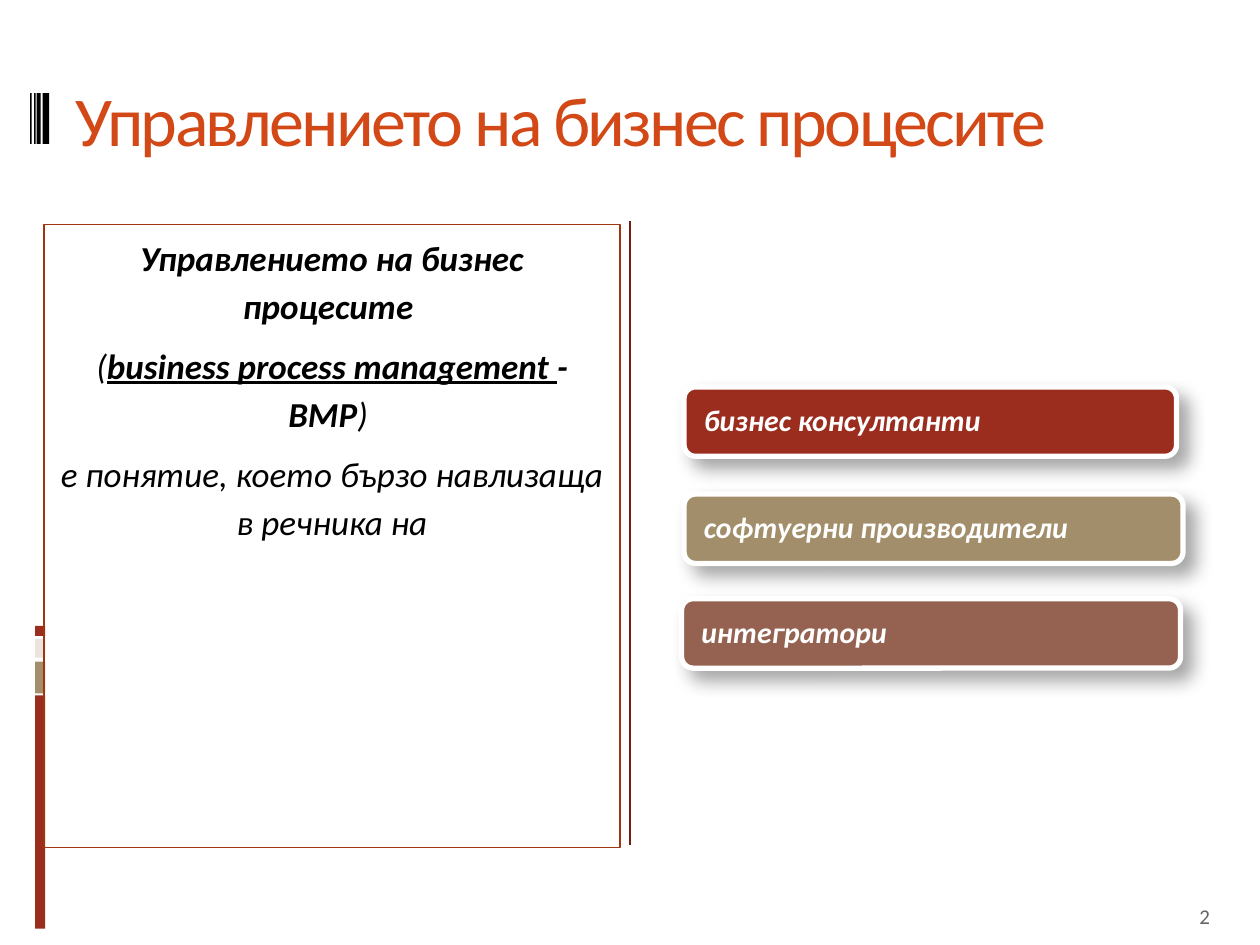
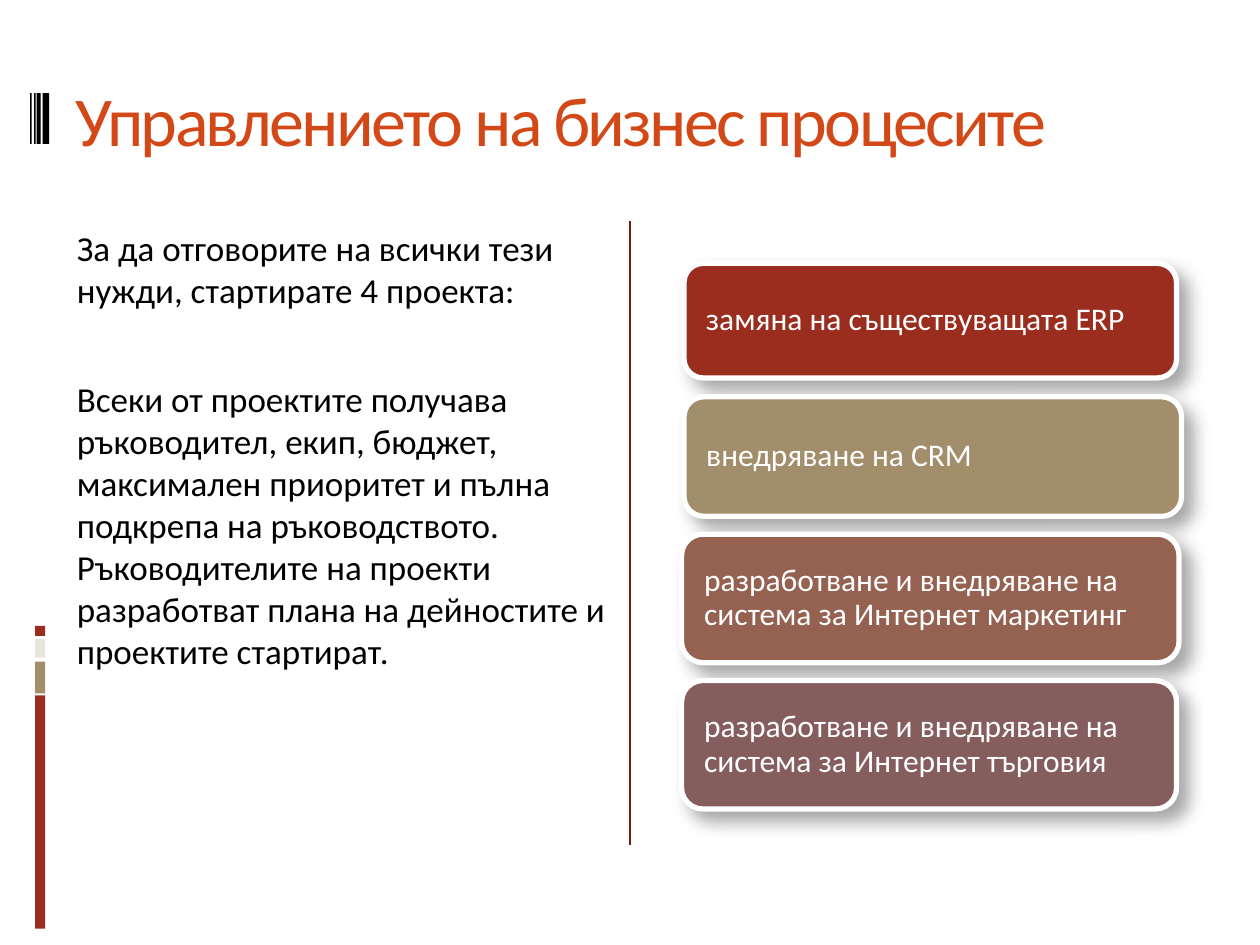
from dataclasses import dataclass

from lxml.etree import SubElement
from pptx import Presentation
from pptx.dml.color import RGBColor
from pptx.enum.shapes import MSO_CONNECTOR, MSO_SHAPE
from pptx.enum.text import MSO_ANCHOR, PP_ALIGN
from pptx.oxml.ns import qn
from pptx.shapes.autoshape import Shape
from pptx.slide import Slide
from pptx.util import Cm, Pt

HUES = {
    "red": "9B2D1F", "sand": "A28E6A", "cream": "E9E5DC", "brown": "956251",
    "mauve": "855D5D", "title": "D34817", "frame": "9E3611", "rule": "751D12",
    "page": "696464", "black": "000000", "white": "FFFFFF",
}
FONT = "Calibri"
HEAD = "Управлението на бизнес процесите"


@dataclass
class Box:
    """A place on the slide, in centimetres."""
    left: float
    top: float
    width: float
    height: float

    def emu(self) -> list[int]:
        return [Cm(x) for x in (self.left, self.top, self.width, self.height)]


@dataclass
class Span:
    text: str
    bold: bool = False
    under: bool = False


@dataclass
class Para:
    spans: list[Span]
    before: float = 0


@dataclass
class Card:
    text: str
    hue: str
    box: Box


@dataclass
class Style:
    size: float
    hue: str = "black"
    bold: bool = False
    slant: bool = False


BARS = [
    ("red", Box(0.71, 14.02, 0.2, 4.7)),
    ("sand", Box(0.71, 13.34, 0.2, 0.64)),
    ("cream", Box(0.71, 12.88, 0.2, 0.38)),
    ("red", Box(0.71, 12.62, 0.2, 0.2)),
] + [
    ("black", Box(left, 1.88, width, 1.02))
    for left, width in ((0.86, 0.13), (0.74, 0.08), (0.69, 0.03), (0.61, 0.03))
]

TERM = [
    Para([Span("Управлението на бизнес процесите ", bold=True)]),
    Para([Span("("), Span("business process management ", True, True),
          Span("- BMP", bold=True), Span(") ")], 7),
    Para([Span("е понятие, което бързо навлизаща в речника на")], 7),
]
PLAN = [
    Para([Span("За да отговорите на всички тези нужди, стартирате 4 проекта:")]),
    Para([Span("Всеки от проектите получава ръководител, екип, бюджет, "
               "максимален приоритет и пълна подкрепа на ръководството. "
               "Ръководителите на проекти разработват плана на дейностите "
               "и проектите стартират.")], 38),
]
ROLES = [
    Card("бизнес консултанти", "red", Box(13.79, 7.8, 9.93, 1.4)),
    Card("софтуерни производители", "sand", Box(13.79, 9.96, 10.06, 1.4)),
    Card("интегратори", "brown", Box(13.74, 12.07, 10.06, 1.4)),
]
TASKS = [
    Card("замяна на съществуващата ERP", "red", Box(13.79, 5.31, 9.93, 2.31)),
    Card("внедряване на CRM", "sand", Box(13.79, 8, 10.03, 2.41)),
    Card("разработване и внедряване на система за Интернет маркетинг",
         "brown", Box(13.74, 10.77, 10.03, 2.59)),
    Card("разработване и внедряване на система за Интернет търговия",
         "mauve", Box(13.74, 13.72, 9.98, 2.59)),
]


def rgb(hue: str) -> RGBColor:
    return RGBColor.from_string(HUES[hue])


def format_run(run, style: Style) -> None:
    font = run.font
    font.name, font.size = FONT, Pt(style.size)
    font.bold, font.italic = style.bold, style.slant
    font.color.rgb = rgb(style.hue)


def add_shape(slide: Slide, kind: MSO_SHAPE, box: Box, fill: str = "",
              line: str = "", width: float = 0.75) -> Shape:
    """Add a shape without shadow; an empty fill or line means none."""
    shape = slide.shapes.add_shape(kind, *box.emu())
    shape.shadow.inherit = False
    if fill:
        shape.fill.solid()
        shape.fill.fore_color.rgb = rgb(fill)
    else:
        shape.fill.background()
    if line:
        shape.line.color.rgb = rgb(line)
        shape.line.width = Pt(width)
    else:
        shape.line.fill.background()
    return shape


def add_label(slide: Slide, text: str, box: Box, style: Style,
              anchor: MSO_ANCHOR) -> Shape:
    label = slide.shapes.add_textbox(*box.emu())
    frame = label.text_frame
    frame.word_wrap = True
    frame.vertical_anchor = anchor
    frame.text = text
    format_run(frame.paragraphs[0].runs[0], style)
    return label


def add_base(deck) -> Slide:
    """Start a slide with the side bars, the middle rule and the title."""
    slide = deck.slides.add_slide(deck.slide_layouts[6])
    for hue, box in BARS:
        add_shape(slide, MSO_SHAPE.RECTANGLE, box, hue)
    rule = slide.shapes.add_connector(
        MSO_CONNECTOR.STRAIGHT, Cm(12.7), Cm(4.45), Cm(12.7), Cm(17.04))
    rule.line.color.rgb = rgb("rule")
    rule.line.width = Pt(0.75)
    SubElement(rule._element.spPr, qn("a:effectLst"))
    title = add_label(slide, HEAD, Box(1.27, 0.58, 22.86, 3.61),
                      Style(40, "title"), MSO_ANCHOR.MIDDLE)
    run = title.text_frame.paragraphs[0].runs[0]
    run._r.get_or_add_rPr().set("spc", "-150")
    return slide


def add_body(slide: Slide, paras: list[Para], box: Box, framed: bool) -> None:
    """Write the left column; a framed one is centred, italic and airy."""
    shape = add_shape(slide, MSO_SHAPE.RECTANGLE, box,
                      line="frame" if framed else "")
    frame = shape.text_frame
    frame.word_wrap = True
    frame.vertical_anchor = MSO_ANCHOR.TOP
    for num, para in enumerate(paras):
        item = frame.add_paragraph() if num else frame.paragraphs[0]
        item.alignment = PP_ALIGN.CENTER if framed else PP_ALIGN.LEFT
        if framed:
            item.line_spacing = 1.14
        if para.before:
            item.space_before = Pt(para.before)
        for span in para.spans:
            run = item.add_run()
            run.text = span.text
            format_run(run, Style(20, bold=span.bold, slant=framed))
            run.font.underline = span.under


def add_glow(shape: Shape) -> None:
    """Give the shape a soft shadow to the lower right."""
    effects = shape._element.spPr.find(qn("a:effectLst"))
    shade = SubElement(effects, qn("a:outerShdw"), blurRad=str(Pt(10.2)),
                       dist=str(Pt(8)), dir="2700000", algn="tl",
                       rotWithShape="0")
    color = SubElement(shade, qn("a:srgbClr"), val=HUES["black"])
    SubElement(color, qn("a:alpha"), val="35000")


def add_cards(slide: Slide, cards: list[Card], style: Style) -> None:
    for card in cards:
        shape = add_shape(slide, MSO_SHAPE.ROUNDED_RECTANGLE, card.box,
                          card.hue, "white", 3)
        add_glow(shape)
        frame = shape.text_frame
        frame.word_wrap = True
        frame.vertical_anchor = MSO_ANCHOR.MIDDLE
        frame.margin_left = frame.margin_right = Cm(0.33)
        frame.margin_top = frame.margin_bottom = 0
        frame.text = card.text
        para = frame.paragraphs[0]
        para.alignment = PP_ALIGN.LEFT
        para.line_spacing = 0.9
        format_run(para.runs[0], style)


def main() -> None:
    deck = Presentation()
    deck.slide_width, deck.slide_height = Cm(25.4), Cm(19.05)

    first = add_base(deck)
    add_body(first, TERM, Box(0.89, 4.52, 11.61, 12.57), framed=True)
    add_cards(first, ROLES, Style(17, "white", bold=True, slant=True))
    add_label(first, "2", Box(23.93, 17.83, 1.27, 1.02), Style(12, "page"),
              MSO_ANCHOR.BOTTOM)

    second = add_base(deck)
    add_body(second, PLAN, Box(1.3, 4.45, 11.23, 12.57), framed=False)
    add_cards(second, TASKS, Style(18, "white"))

    deck.save("out.pptx")


if __name__ == "__main__":
    main()
